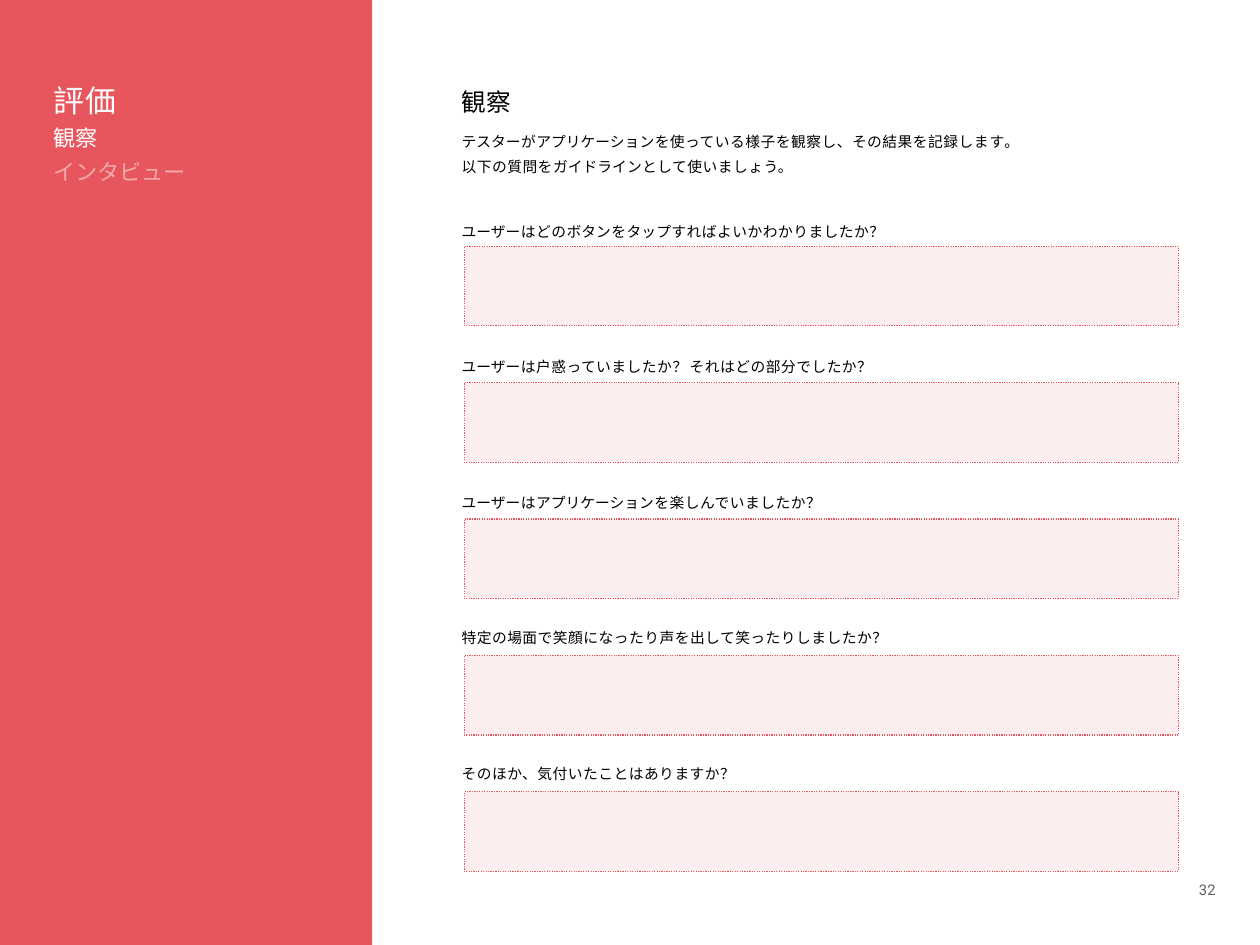
from dataclasses import dataclass

from lxml.etree import SubElement
from pptx import Presentation
from pptx.dml.color import RGBColor
from pptx.enum.dml import MSO_LINE
from pptx.enum.shapes import MSO_SHAPE
from pptx.enum.text import MSO_ANCHOR, MSO_AUTO_SIZE, PP_ALIGN
from pptx.oxml.ns import qn
from pptx.util import Inches, Pt


@dataclass(frozen=True)
class Theme:
    coral: RGBColor = RGBColor(0xE6, 0x56, 0x5C)
    white: RGBColor = RGBColor(0xFF, 0xFF, 0xFF)
    black: RGBColor = RGBColor(0x00, 0x00, 0x00)
    grey: RGBColor = RGBColor(0x5E, 0x5E, 0x5E)
    text_font: str = "Noto Sans CJK JP"
    number_font: str = "Roboto"
    section_size: int = 25
    heading_size: int = 20
    topic_size: int = 18
    body_size: int = 12


theme = Theme()


def set_opacity(element, percent):
    color = next(element.iter(qn("a:srgbClr")))
    SubElement(color, qn("a:alpha")).set("val", str(percent * 1000))


def write_spans(para, pieces, size, color, line_height):
    """Fill a paragraph with (text, letter spacing in points) pieces."""
    para.alignment = PP_ALIGN.LEFT
    para.line_spacing = Pt(line_height)
    for text, spacing in pieces:
        if text == "\n":
            para.add_line_break()
            continue
        span = para.add_run()
        span.text = text
        span.font.size = Pt(size)
        span.font.name = theme.text_font
        span.font.color.rgb = color
        properties = span.font._element
        properties.set("spc", str(round(spacing * 100)))
        SubElement(properties, qn("a:ea")).set("typeface", theme.text_font)


deck = Presentation()
deck.slide_width = Inches(14.22)
deck.slide_height = Inches(10.67)
page = deck.slides.add_slide(deck.slide_layouts[5])

# Sidebar panel
panel = page.shapes.add_shape(MSO_SHAPE.RECTANGLE, 0, 0, Inches(4.2), deck.slide_height)
panel.shadow.inherit = False
panel.fill.solid()
panel.fill.fore_color.rgb = theme.coral
panel.line.fill.background()

# Sidebar topics, the last one dimmed
topics = [
    ("評価", theme.section_size, 32, 1.2),
    ("観察", theme.topic_size, 27, 0.5),
    ("インタビュー", theme.topic_size, 27, 0),
]
box = page.shapes.add_textbox(Inches(0.54), Inches(0.83), Inches(2.6), Inches(3.28))
frame = box.text_frame
frame.word_wrap = True
frame.margin_left = frame.margin_right = Inches(0.06)
frame.margin_top = frame.margin_bottom = Inches(0.06)
for index, (topic, size, line_height, spacing) in enumerate(topics):
    para = frame.add_paragraph() if index else frame.paragraphs[0]
    write_spans(para, [(topic, spacing)], size, theme.white, line_height)
set_opacity(para.runs[0]._r, 50)

# Heading and introduction
title = page.shapes.title
title.left, title.top = Inches(5.21), Inches(0.91)
title.width, title.height = Inches(8.55), Inches(1.05)
frame = title.text_frame
frame.word_wrap = True
frame.auto_size = MSO_AUTO_SIZE.NONE
frame.vertical_anchor = MSO_ANCHOR.TOP
frame.margin_left = frame.margin_right = frame.margin_top = frame.margin_bottom = 0
heading = frame.paragraphs[0]
heading.space_before = Pt(0)
write_spans(heading, [("観察", 0.6)], theme.heading_size, theme.black, 29)
introduction = frame.add_paragraph()
introduction.space_before = Pt(8)
write_spans(introduction, [
    ("テスタ", 0), ("ーが", 0.4), ("アプリケーショ", 0),
    ("ンを使っている様子を観察し、その結果を記録しま", 0.4), ("す", -1.2), ("。", 0.4),
    ("\n", 0),
    ("以下の質問を", 0.4), ("ガイドライ", 0), ("ンとして使いましょう。", 0.4),
], theme.body_size, theme.black, 20)

# Questions, each above a dotted answer area
questions = [
    [("ユーザ", 0), ("ーはどの", 0.4), ("ボタ", 0), ("ンを", 0.4), ("タッ", 0),
     ("プすればよいかわかりましたか？", 0.4)],
    [("ユーザ", 0), ("ーは戸惑っていましたか", 0.4), ("？", 1.8),
     ("それはどの部分でしたか？", 0.4)],
    [("ユーザ", 0), ("ーは", 0.4), ("アプリケーショ", 0), ("ンを楽しんでいましたか？", 0.4)],
    [("特定の場面で笑顔になったり声を出して笑ったりしましたか？", 0.4)],
    [("そのほか、気付いたことはありますか？", 0.4)],
]
for index, question in enumerate(questions):
    box = page.shapes.add_textbox(
        Inches(5.21), Inches(2.45 + 1.53 * index), Inches(4.86), Inches(0.27))
    frame = box.text_frame
    frame.word_wrap = True
    frame.vertical_anchor = MSO_ANCHOR.MIDDLE
    frame.margin_left = frame.margin_right = frame.margin_top = frame.margin_bottom = 0
    write_spans(frame.paragraphs[0], question, theme.body_size, theme.black, 18)

    answer = page.shapes.add_shape(
        MSO_SHAPE.RECTANGLE,
        Inches(5.24), Inches(2.78 + 1.54 * index), Inches(8.06), Inches(0.9))
    answer.shadow.inherit = False
    answer.fill.solid()
    answer.fill.fore_color.rgb = theme.coral
    set_opacity(answer.element, 10)
    answer.line.color.rgb = theme.coral
    answer.line.width = Pt(1)
    answer.line.dash_style = MSO_LINE.ROUND_DOT

# Page number
box = page.shapes.add_textbox(Inches(13.47), Inches(9.88), Inches(0.31), Inches(0.3))
frame = box.text_frame
frame.word_wrap = False
frame.margin_left = frame.margin_right = Inches(0.06)
frame.margin_top = frame.margin_bottom = Inches(0.06)
frame.text = "32"
number = frame.paragraphs[0]
number.alignment = PP_ALIGN.CENTER
span = number.runs[0]
span.font.size = Pt(theme.body_size)
span.font.name = theme.number_font
span.font.color.rgb = theme.grey

deck.save("out.pptx")
